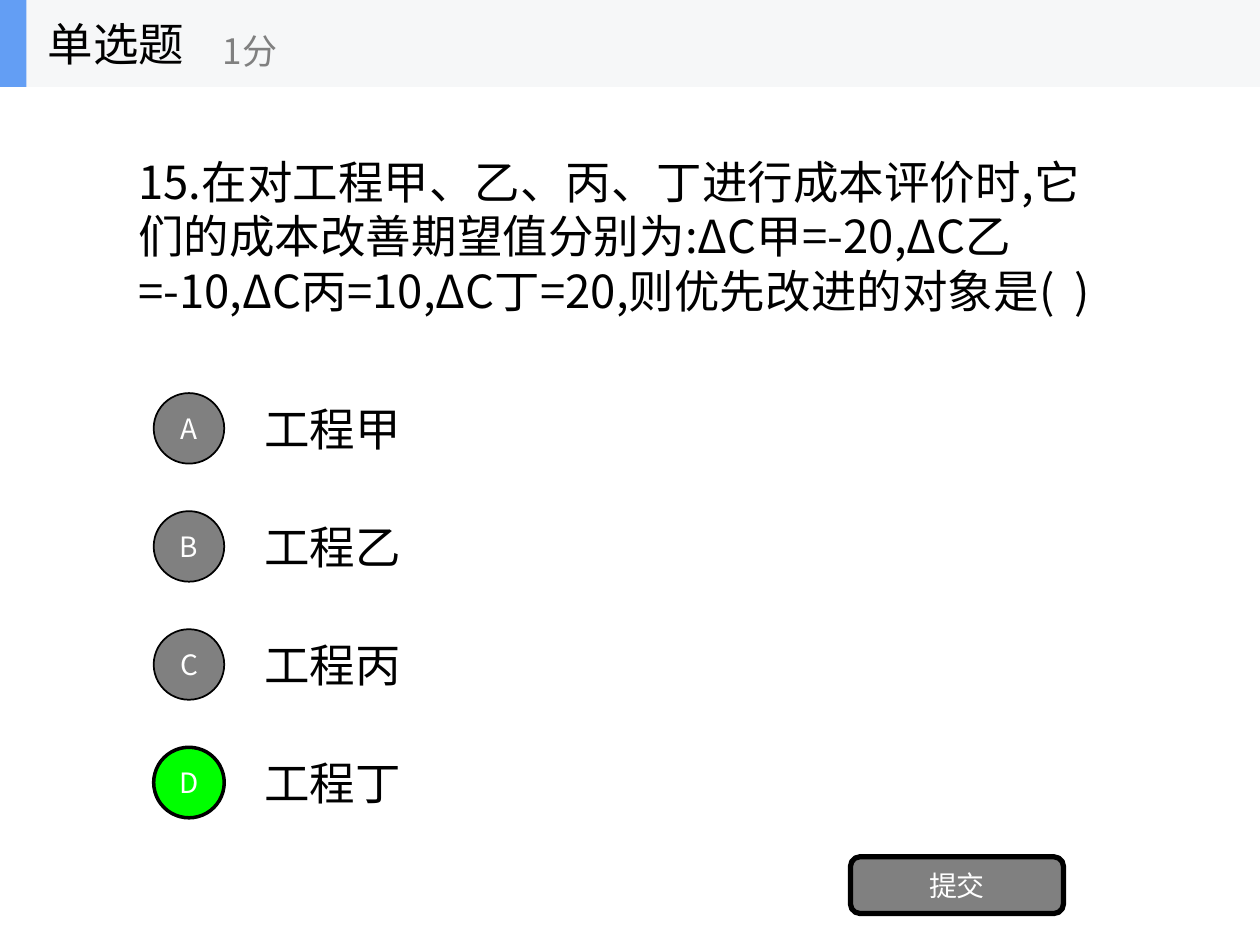
from lxml.etree import SubElement
from pptx import Presentation
from pptx.dml.color import RGBColor
from pptx.enum.shapes import MSO_SHAPE
from pptx.enum.text import MSO_ANCHOR, MSO_AUTO_SIZE, PP_ALIGN
from pptx.oxml.ns import qn
from pptx.util import Inches, Pt

COLORS = {
    "ink": "000000",
    "paper": "FFFFFF",
    "muted": "808080",
    "correct": "00FF00",
    "header": "F6F7F8",
    "accent": "639EF4",
}
FONT = "Noto Sans CJK SC"
BODY_SIZE, SCORE_SIZE, BUTTON_SIZE = 26, 20, 16
COLUMNS, ROWS = 100, 75
HEADER_ROWS = 6.9

QUESTION = (
    "15.在对工程甲、乙、丙、丁进行成本评价时,它们的成本改善期望值分别为:"
    "ΔC甲=-20,ΔC乙=-10,ΔC丙=10,ΔC丁=20,则优先改进的对象是(  )"
)
CHOICES = {"A": "工程甲", "B": "工程乙", "C": "工程丙", "D": "工程丁"}
ANSWER = "D"
FIRST_CHOICE_CENTER, CHOICE_PITCH = 34, 9.37
BADGE, CHOICE_HEIGHT = 5.6, 5.4


class QuizSlide:
    """Holds the deck's style and current slide; places are columns and rows."""

    def __init__(self, deck):
        self.column = deck.slide_width / COLUMNS
        self.row = deck.slide_height / ROWS
        self.slide = deck.slides.add_slide(deck.slide_layouts[5])

    def place(self, left, top, width, height):
        return (round(left * self.column), round(top * self.row),
                round(width * self.column), round(height * self.row))

    def set_text(self, shape, text, size, color, align=PP_ALIGN.LEFT, wrap=True,
                 fit=MSO_AUTO_SIZE.NONE):
        frame = shape.text_frame
        frame.auto_size = fit
        frame.word_wrap = wrap
        frame.vertical_anchor = MSO_ANCHOR.MIDDLE
        paragraph = frame.paragraphs[0]
        paragraph.alignment = align
        run = paragraph.add_run()
        run.text = text
        run.font.size = Pt(size)
        run.font.color.rgb = RGBColor.from_string(COLORS[color])
        run.font.name = FONT
        # East Asian glyphs take their own typeface element
        for properties in shape.element.iter(qn("a:rPr")):
            SubElement(properties, qn("a:ea"), typeface=FONT)

    def title(self, text, box):
        title = self.slide.shapes.title
        title.left, title.top, title.width, title.height = self.place(*box)
        self.set_text(title, text, BODY_SIZE, "ink", wrap=False)
        # Bring the title in front of the header band
        title.element.getparent().append(title.element)

    def text(self, text, box, size=BODY_SIZE, color="ink", parent=None, **style):
        shapes = (parent or self.slide).shapes
        self.set_text(shapes.add_textbox(*self.place(*box)), text, size, color, **style)

    def shape(self, kind, box, fill, line=0, label=None, parent=None):
        shape = (parent or self.slide).shapes.add_shape(kind, *self.place(*box))
        shape.shadow.inherit = False
        shape.fill.solid()
        shape.fill.fore_color.rgb = RGBColor.from_string(COLORS[fill])
        if line:
            shape.line.color.rgb = RGBColor.from_string(COLORS["ink"])
            shape.line.width = Pt(line)
        else:
            shape.line.fill.background()
        if label:
            self.set_text(shape, label, BUTTON_SIZE, "paper", PP_ALIGN.CENTER)

    def choice(self, letter, text, center):
        correct = letter == ANSWER
        self.text(text, (20, center - CHOICE_HEIGHT / 2, 13.9, CHOICE_HEIGHT),
                  fit=MSO_AUTO_SIZE.SHAPE_TO_FIT_TEXT)
        self.shape(MSO_SHAPE.OVAL, (12.2, center - BADGE / 2, BADGE, BADGE),
                   "correct" if correct else "muted", 2 if correct else 1, letter)

    def header(self, title, score):
        band = self.slide.shapes.add_group_shape()
        for width, fill in ((COLUMNS, "header"), (2.1, "accent")):
            self.shape(MSO_SHAPE.RECTANGLE, (0, 0, width, HEADER_ROWS), fill, parent=band)
        self.text(score, (16.7, 1.2, 25, 5.6), SCORE_SIZE, "muted", band, wrap=False)
        self.title(title, (2.8, 0, 20.8, HEADER_ROWS))


def main():
    deck = Presentation()
    deck.slide_width, deck.slide_height = Inches(10), Inches(7.5)
    quiz = QuizSlide(deck)
    quiz.text(QUESTION, (10, 9.5, 77.9, 18.4), fit=MSO_AUTO_SIZE.SHAPE_TO_FIT_TEXT)
    for index, (letter, text) in enumerate(CHOICES.items()):
        quiz.choice(letter, text, FIRST_CHOICE_CENTER + index * CHOICE_PITCH)
    quiz.shape(MSO_SHAPE.ROUNDED_RECTANGLE, (67.5, 68, 16.9, 4.5), "muted", 3, "提交")
    quiz.header("单选题", "1分")
    deck.save("out.pptx")


if __name__ == "__main__":
    main()
